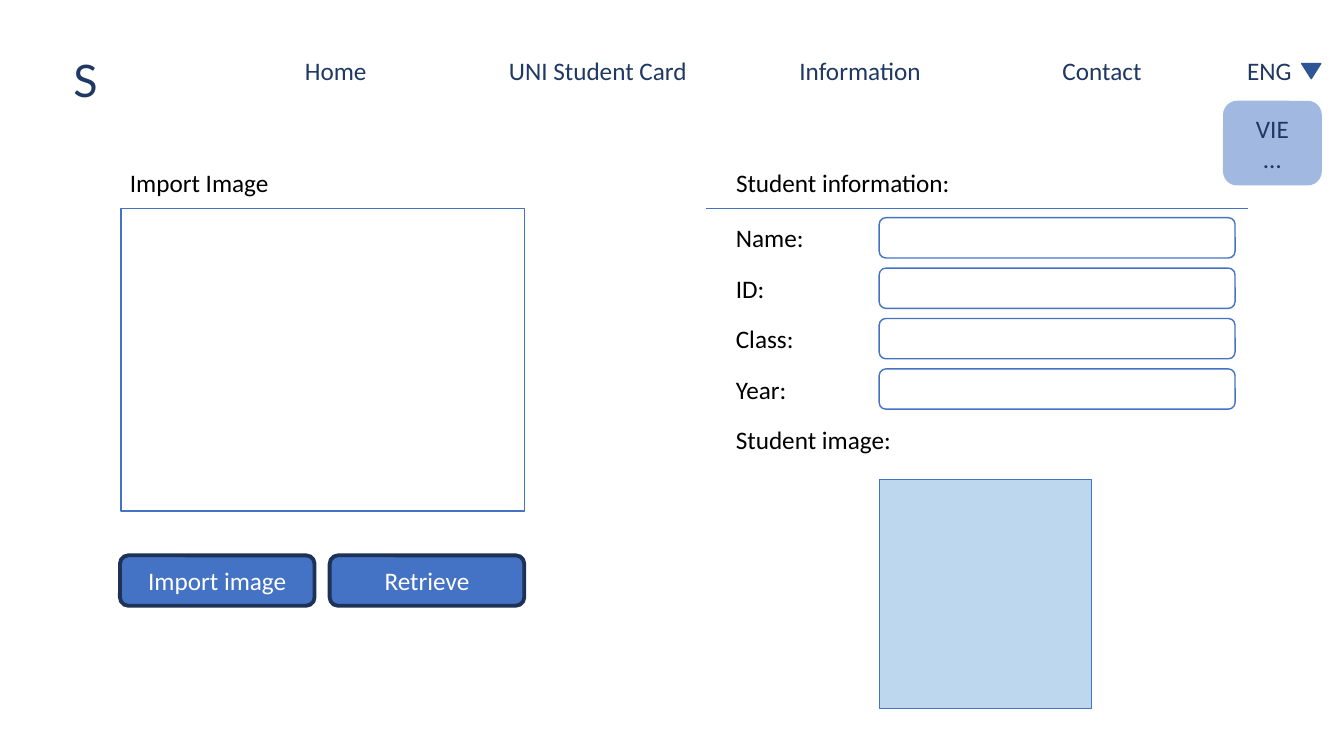
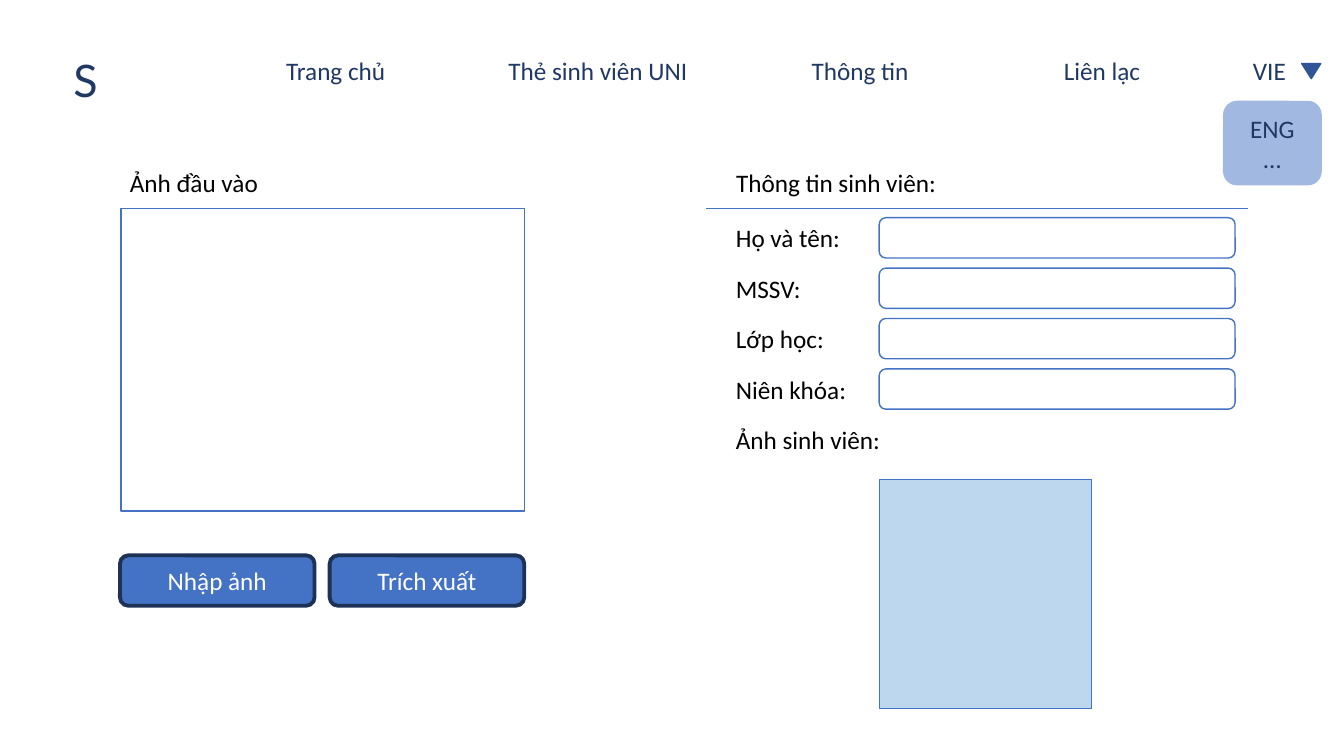
"""Build the student card page mock-up in English and Vietnamese."""
from lxml import etree
from pptx import Presentation
from pptx.dml.color import RGBColor
from pptx.enum.shapes import MSO_CONNECTOR, MSO_SHAPE
from pptx.enum.text import MSO_ANCHOR, MSO_AUTO_SIZE, PP_ALIGN
from pptx.oxml.ns import qn
from pptx.util import Inches, Pt

RECTANGLE = MSO_SHAPE.RECTANGLE
ROUNDED = MSO_SHAPE.ROUNDED_RECTANGLE
TRIANGLE = MSO_SHAPE.ISOSCELES_TRIANGLE
STRAIGHT = MSO_CONNECTOR.STRAIGHT
LEFT, CENTER = PP_ALIGN.LEFT, PP_ALIGN.CENTER
MIDDLE = MSO_ANCHOR.MIDDLE
NO_AUTOFIT = MSO_AUTO_SIZE.NONE
TITLE_ONLY = 5

COLORS = {
    "navy": "203864",
    "blue": "4472C4",
    "border": "1E3256",
    "arrow": "2F5597",
    "photo": "BDD7EE",
    "white": "FFFFFF",
    "black": "000000",
}

PAGES = [
    {
        "menu": ["Home", "UNI Student Card", "Information", "Contact"],
        "language": "ENG",
        "choices": ["VIE", "…"],
        "upload": "Import Image",
        "title": "Student information:",
        "labels": ["Name:", "ID:", "Class:", "Year:", "Student image:"],
        "buttons": ["Import image", "Retrieve"],
    },
    {
        "menu": ["Trang chủ", "Thẻ sinh viên UNI", "Thông tin", "Liên lạc"],
        "language": "VIE",
        "choices": ["ENG", "…"],
        "upload": "Ảnh đầu vào",
        "title": "Thông tin sinh viên:",
        "labels": ["Họ và tên:", "MSSV:", "Lớp học:", "Niên khóa:", "Ảnh sinh viên:"],
        "buttons": ["Nhập ảnh", "Trích xuất"],
    },
]
MENU_LEFTS = [2.13, 4.73, 7.33, 9.73]
ROW_TOP, ROW_STEP = 2.16, 0.5


def write(shape, lines, color, align=LEFT, size=18, font="Calibri"):
    """Fill a shape with one styled paragraph per line."""
    frame = shape.text_frame
    frame.word_wrap = True
    frame.auto_size = NO_AUTOFIT
    frame.vertical_anchor = MIDDLE
    for index, line in enumerate(lines):
        paragraph = frame.add_paragraph() if index else frame.paragraphs[0]
        paragraph.alignment = align
        run = paragraph.add_run()
        run.text = line
        run.font.name = font
        run.font.size = Pt(size)
        run.font.color.rgb = RGBColor.from_string(COLORS[color])


def add_box(slide, kind, place, fill=None, line=None, width=1):
    """Add a preset shape with an optional fill and outline."""
    shape = slide.shapes.add_shape(kind, *map(Inches, place))
    shape.shadow.inherit = False
    if fill:
        shape.fill.solid()
        shape.fill.fore_color.rgb = RGBColor.from_string(COLORS[fill])
    else:
        shape.fill.background()
    if line:
        shape.line.color.rgb = RGBColor.from_string(COLORS[line])
        shape.line.width = Pt(width)
    else:
        shape.line.fill.background()
    return shape


presentation = Presentation()
presentation.slide_width = Inches(13.33)
presentation.slide_height = Inches(7.5)

for page in PAGES:
    slide = presentation.slides.add_slide(presentation.slide_layouts[TITLE_ONLY])

    title = slide.shapes.title
    title.left, title.top = Inches(7.2), Inches(1.61)
    title.width, title.height = Inches(3), Inches(0.4)
    write(title, [page["title"]], "black")

    mark = slide.shapes.add_textbox(*map(Inches, (0.63, 0.47, 0.58, 0.64)))
    write(mark, ["S"], "navy", size=32, font="Lato")

    for left, entry in zip(MENU_LEFTS + [11.39], page["menu"] + [page["language"]]):
        item = add_box(slide, ROUNDED, (left, 0.4, 2.4, 0.6))
        write(item, [entry], "navy", CENTER)

    arrow = add_box(slide, TRIANGLE, (12.91, 0.63, 0.19, 0.15), "arrow", "arrow")
    arrow.rotation = 180

    dropdown = add_box(slide, ROUNDED, (12.13, 1, 0.98, 0.84), "blue")
    fill_color = dropdown._element.spPr.find(qn("a:solidFill"))[0]
    etree.SubElement(fill_color, qn("a:alpha")).set("val", "50000")
    write(dropdown, page["choices"], "navy", CENTER)

    upload = slide.shapes.add_textbox(*map(Inches, (1.19, 1.61, 3, 0.4)))
    write(upload, [page["upload"]], "black")
    add_box(slide, RECTANGLE, (1.2, 2.07, 4, 3), "white", "blue")

    for index, caption in enumerate(page["buttons"]):
        place = (1.19 + 2.08 * index, 5.51, 1.93, 0.5)
        button = add_box(slide, ROUNDED, place, "blue", "border", 2.75)
        write(button, [caption], "white", CENTER)

    rule = slide.shapes.add_connector(STRAIGHT, *map(Inches, (7, 2.07, 12.38, 2.07)))
    rule.line.color.rgb = RGBColor.from_string(COLORS["blue"])
    rule.line.width = Pt(0.5)
    etree.SubElement(rule._element.spPr, qn("a:effectLst"))

    for index, caption in enumerate(page["labels"]):
        top = ROW_TOP + ROW_STEP * index
        label = slide.shapes.add_textbox(*map(Inches, (7.2, top, 2, 0.4)))
        write(label, [caption], "black")
        if index < len(page["labels"]) - 1:
            add_box(slide, ROUNDED, (8.72, top, 3.53, 0.4), "white", "blue")

    add_box(slide, RECTANGLE, (8.72, 4.76, 2.1, 2.27), "photo", "blue", 0.5)

presentation.save("out.pptx")
